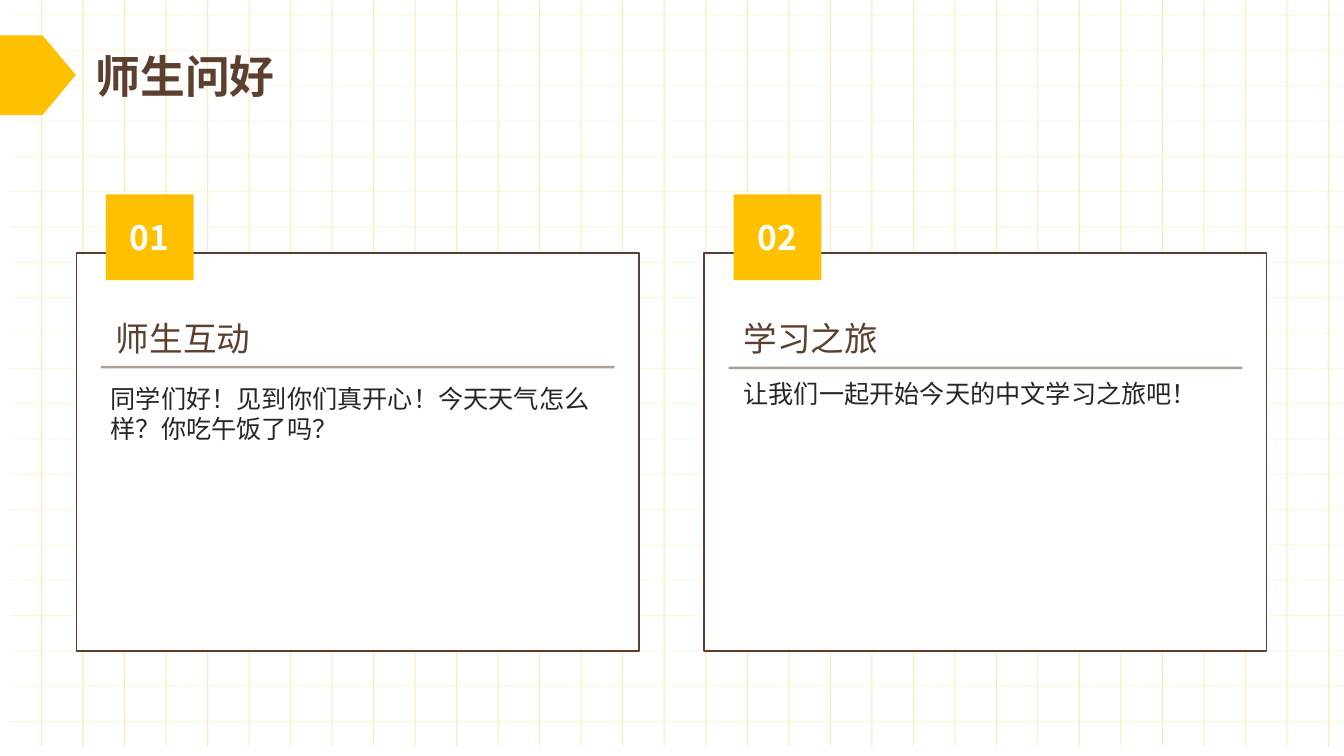
from lxml.etree import SubElement
from pptx import Presentation
from pptx.dml.color import RGBColor
from pptx.enum.shapes import MSO_CONNECTOR, MSO_SHAPE
from pptx.enum.text import MSO_ANCHOR, PP_ALIGN
from pptx.oxml.ns import qn
from pptx.util import Cm, Pt

FONT = "Noto Sans CJK SC"
WIDE, HIGH = 33.87, 19.05
BROWN, GOLD, WHITE, INK, GRID = "5C3F2F", "FFC000", "FFFFFF", "262626", "F7E288"

# left, number, heading, rule y, body, body box (left, top, width, height)
CARDS = [
    (1.93, "01", "师生互动", 9.25,
     "同学们好！见到你们真开心！今天天气怎么样？你吃午饭了吗？",
     (2.54, 9.53, 12.73, 6.15)),
    (17.75, "02", "学习之旅", 9.27,
     "让我们一起开始今天的中文学习之旅吧！",
     (18.49, 9.42, 12.6, 5.99)),
]


def paint(format, color):
    """Give a fill a solid colour."""
    format.solid()
    format.fore_color.rgb = RGBColor.from_string(color)


def write(frame, text, size, color, bold=False, align=PP_ALIGN.LEFT,
          anchor=MSO_ANCHOR.MIDDLE):
    frame.word_wrap = True
    frame.vertical_anchor = anchor
    para = frame.paragraphs[0]
    para.text = text
    para.alignment = align
    font = para.font
    font.size = Pt(size)
    font.bold = bold
    font.name = FONT
    paint(font.fill, color)
    # Chinese glyphs take the East Asian typeface
    props = para._p.pPr.find(qn("a:defRPr"))
    SubElement(props, qn("a:ea"), typeface=FONT)


def add_text(slide, box, text, size, color, **style):
    shape = slide.shapes.add_textbox(*map(Cm, box))
    write(shape.text_frame, text, size, color, **style)


def add_box(slide, box, fill, edge=None):
    shape = slide.shapes.add_shape(MSO_SHAPE.RECTANGLE, *map(Cm, box))
    shape.shadow.inherit = False
    paint(shape.fill, fill)
    if edge:
        paint(shape.line.fill, edge)
        shape.line.width = Pt(1.25)
    else:
        shape.line.fill.background()
    return shape


def add_line(slide, ends, color, width, alpha):
    """Draw a line between ends (x1, y1, x2, y2), alpha in percent."""
    line = slide.shapes.add_connector(MSO_CONNECTOR.STRAIGHT, *map(Cm, ends))
    paint(line.line.fill, color)
    line.line.width = Pt(width)
    props = line._element.spPr
    tint = props.find(".//" + qn("a:srgbClr"))
    SubElement(tint, qn("a:alpha"), val=str(alpha * 1000))
    SubElement(props, qn("a:effectLst"))


def add_grid(slide):
    for row in range(21):
        y = 0.38 + 0.89 * row
        add_line(slide, (0.25, y, WIDE, y), GRID, 0.75, 25)
    for col in range(1, 33):
        x = 33.48 * col / 32
        add_line(slide, (x, -0.25, x, 18.8), GRID, 0.75, 64)


def add_card(slide, left, number, heading, rule, body, place):
    add_box(slide, (left, 6.38, 14.17, 10.03), WHITE, BROWN)
    badge = add_box(slide, (left + 0.74, 4.9, 2.21, 2.16), GOLD)
    write(badge.text_frame, number, 24, WHITE, bold=True, align=PP_ALIGN.CENTER)
    add_line(slide, (left + 0.61, rule, left + 13.56, rule), BROWN, 1.75, 50)
    add_text(slide, (left + 0.74, 7.77, 12.6, 1.5), heading, 24, BROWN)
    add_text(slide, place, body, 18, INK, anchor=MSO_ANCHOR.TOP)


def add_title(slide, text):
    add_text(slide, (2.16, 0.89, 30, 2.01), text, 32, BROWN, bold=True)
    pen = slide.shapes.build_freeform(Cm(1.07), Cm(0.89))
    points = [(0, 0.89), (0, 2.9), (1.07, 2.9), (1.91, 1.89)]
    pen.add_line_segments([(Cm(x), Cm(y)) for x, y in points], close=True)
    arrow = pen.convert_to_shape()
    arrow.shadow.inherit = False
    paint(arrow.fill, GOLD)
    arrow.line.fill.background()


def main():
    deck = Presentation()
    deck.slide_width, deck.slide_height = Cm(WIDE), Cm(HIGH)
    slide = deck.slides.add_slide(deck.slide_layouts[6])
    paint(slide.background.fill, WHITE)
    add_grid(slide)
    for card in CARDS:
        add_card(slide, *card)
    add_title(slide, "师生问好")
    deck.save("out.pptx")


if __name__ == "__main__":
    main()
